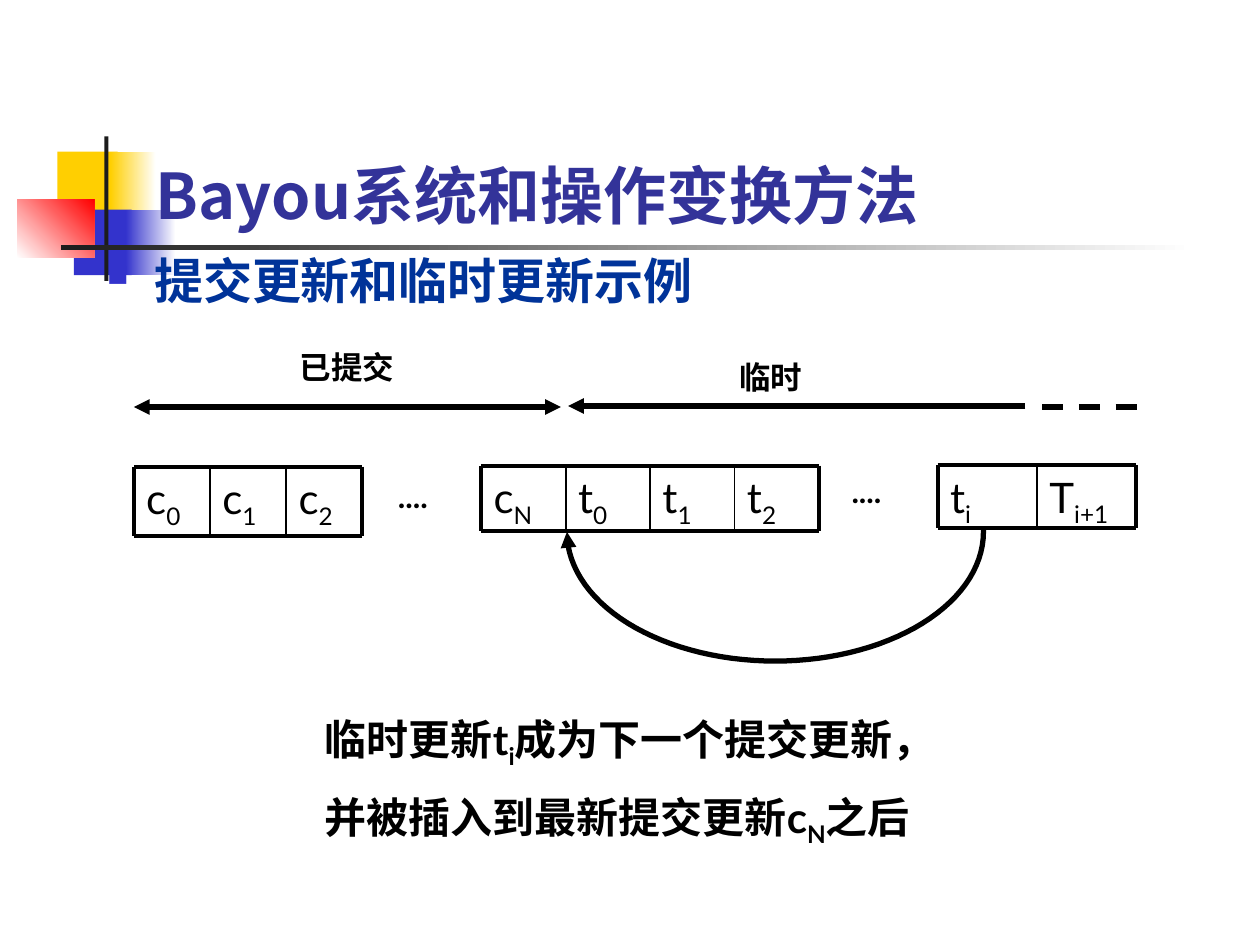
from dataclasses import dataclass
from math import cos, pi, sin

from lxml.etree import SubElement
from pptx import Presentation
from pptx.dml.color import RGBColor
from pptx.enum.dml import MSO_LINE_DASH_STYLE as DASH
from pptx.enum.lang import MSO_LANGUAGE_ID as LANG
from pptx.enum.shapes import MSO_CONNECTOR as CONN, MSO_SHAPE as SHAPE
from pptx.enum.text import MSO_ANCHOR as ANCHOR
from pptx.oxml.ns import qn
from pptx.util import Pt


@dataclass(frozen=True)
class Theme:
    black: str = "000000"
    white: str = "FFFFFF"
    dark: str = "1C1C1C"
    yellow: str = "FFCF01"
    blue: str = "3333CC"
    red: str = "FF0000"
    title: str = "333399"
    heading: str = "003399"
    sans: str = "Lato"
    cjk: str = "Noto Sans CJK JP"
    serif: str = "Times New Roman"
    title_size: int = 36
    heading_size: int = 28
    text_size: int = 24
    label_size: int = 18
    thin: float = 1
    border: float = 2.25
    thick: float = 3


T = Theme()


def rgb(color):
    return RGBColor.from_string(color)


def add_run(p, text, size, color=T.black, font=T.sans, ea=T.sans, bold=False, sub=False):
    r = p.add_run()
    r.text = text
    r.font.size = Pt(size)
    r.font.bold = bold
    r.font.name = font
    r.font.color.rgb = rgb(color)
    r.font.language_id = LANG.SIMPLIFIED_CHINESE
    rpr = r._r.get_or_add_rPr()
    rpr.find(qn("a:latin")).addnext(rpr.makeelement(qn("a:ea"), {"typeface": ea}))
    if sub:
        rpr.set("baseline", "-25000")


def add_text(slide, box, anchor=ANCHOR.TOP):
    tf = slide.shapes.add_textbox(*map(Pt, box)).text_frame
    tf.word_wrap = True
    tf.vertical_anchor = anchor
    return tf


def add_label(slide, box, text):
    add_run(add_text(slide, box).paragraphs[0], text, T.label_size, bold=True)


def add_block(slide, box, start, end=None, angle=0):
    sp = slide.shapes.add_shape(SHAPE.RECTANGLE, *map(Pt, box))
    sp.shadow.inherit = False
    sp.line.fill.background()
    if end is None:
        sp.fill.solid()
        sp.fill.fore_color.rgb = rgb(start)
        return
    sp.fill.gradient()
    sp.fill.gradient_angle = angle
    for stop, color in zip(sp.fill.gradient_stops, (start, end)):
        stop.color.rgb = rgb(color)


def add_arrowheads(line, *ends):
    for end in ends:
        SubElement(line._get_or_add_ln(), qn(f"a:{end}"), type="triangle")


def add_line(slide, x1, y1, x2, y2, width, heads=(), dash=None):
    cn = slide.shapes.add_connector(CONN.STRAIGHT, *map(Pt, (x1, y1, x2, y2)))
    cn.line.width = Pt(width)
    cn.line.color.rgb = rgb(T.black)
    if dash:
        cn.line.dash_style = dash
    add_arrowheads(cn.line, *heads)
    SubElement(cn._element.spPr, qn("a:effectLst"))


def draw_ornament(slide, box):
    x, y, w, h = box
    add_block(slide, (x + 23, y + 8.6, 34.5, 37.5), T.yellow)
    add_block(slide, (x + 53.3, y + 8.6, 26, 37.5), T.yellow, T.white)
    add_block(slide, (x + 32.4, y + 41.8, 33, 37.5), T.blue)
    add_block(slide, (x + 62, y + 41.8, 28.8, 37.5), T.blue, T.white)
    add_block(slide, (x, y + 36, 44, 33.2), T.white, T.red, 45)
    add_block(slide, (x + 49.9, y, 2.3, h), T.dark)
    add_block(slide, (x + 24.8, y + 62.3, w - 24.8, 2.5), T.dark, T.white)


def draw_title(slide, box):
    p = add_text(slide, box, ANCHOR.BOTTOM).paragraphs[0]
    add_run(p, "Bayou系统和操作变换方法", T.title_size, T.title, T.cjk, T.cjk, bold=True)


def draw_heading(slide, box):
    p = add_text(slide, box).paragraphs[0]
    ppr = p._p.get_or_add_pPr()
    ppr.set("marL", str(Pt(27)))
    ppr.set("indent", str(-Pt(27)))
    SubElement(SubElement(ppr, qn("a:buClr")), qn("a:srgbClr"), val=T.blue)
    SubElement(ppr, qn("a:buSzPct"), val="60000")
    SubElement(ppr, qn("a:buChar"), char="■")
    add_run(p, "提交更新和临时更新示例", T.heading_size, T.heading, T.serif, bold=True)


def draw_log(slide, box, entries):
    x, y, w, h = box
    step = w / len(entries)
    for i, (name, index) in enumerate(entries):
        p = add_text(slide, (x + i * step, y, step, h)).paragraphs[0]
        add_run(p, name, T.text_size)
        add_run(p, index, T.text_size, sub=True)
    for edge in (y, y + h):
        add_line(slide, x, edge, x + w, edge, T.border)
    for i in range(len(entries) + 1):
        at = x + i * step
        width = T.border if i in (0, len(entries)) else T.thin
        add_line(slide, at, y, at, y + h, width)


def draw_spans(slide, box):
    x, y, w, h = box
    line_y = y + h
    add_label(slide, (x + 87.8, y, 113, 28.8), "已提交")
    add_label(slide, (x + 339, y + 5.8, 113, 28.8), "临时")
    add_line(slide, x, line_y, x + 244, line_y, T.thick, ("headEnd", "tailEnd"))
    add_line(slide, x + 509.5, line_y - 0.6, x + 248.2, line_y - 0.6, T.thick, ("tailEnd",))
    add_line(slide, x + 519, line_y, x + w, line_y, T.thick, dash=DASH.DASH)


def draw_move(slide, box, steps=60):
    x, y, w, h = box
    drop = 2
    angles = [pi * i / steps for i in range(steps + 1)]
    points = [
        (Pt(x + w / 2 * (1 + cos(a))), Pt(y + drop + (h - drop) * sin(a)))
        for a in angles
    ]
    builder = slide.shapes.build_freeform(Pt(x + w), Pt(y))
    builder.add_line_segments(points, close=False)
    sp = builder.convert_to_shape()
    sp.shadow.inherit = False
    sp.fill.background()
    sp.line.color.rgb = rgb(T.black)
    sp.line.width = Pt(T.thick)
    add_arrowheads(sp.line, "tailEnd")


def draw_summary(slide, box):
    tf = add_text(slide, box)
    rows = (("临时更新t", "i", "成为下一个提交更新，"), ("并被插入到最新提交更新c", "N", "之后"))
    for i, (before, index, after) in enumerate(rows):
        p = tf.add_paragraph() if i else tf.paragraphs[0]
        if i:
            p.space_before = Pt(T.text_size / 2)
        for text, sub in ((before, False), (index, True), (after, False)):
            add_run(p, text, T.text_size, bold=True, sub=sub)


def main():
    prs = Presentation()
    prs.slide_width, prs.slide_height = Pt(720), Pt(540)
    slide = prs.slides.add_slide(prs.slide_layouts[6])
    draw_ornament(slide, (9.8, 78, 672.8, 82.6))
    draw_title(slide, (82, 65.5, 533, 70.6))
    draw_heading(slide, (54, 139.7, 635, 391))
    draw_log(slide, (275, 266.1, 193, 37.3), (("c", "N"), ("t", "0"), ("t", "1"), ("t", "2")))
    draw_log(slide, (76.5, 266.6, 130.6, 39.8), (("c", "0"), ("c", "1"), ("c", "2")))
    draw_log(slide, (535.8, 265.8, 113.6, 36), (("t", "i"), ("T", "i+1")))
    add_label(slide, (220.3, 269.3, 39.6, 28.8), "....")
    add_label(slide, (479.5, 266.4, 39.6, 28.8), "....")
    draw_spans(slide, (76.5, 195.1, 580.5, 37.5))
    draw_move(slide, (324, 302, 238, 75.8))
    draw_summary(slide, (178.6, 403.9, 408, 79.2))
    prs.save("out.pptx")


if __name__ == "__main__":
    main()
